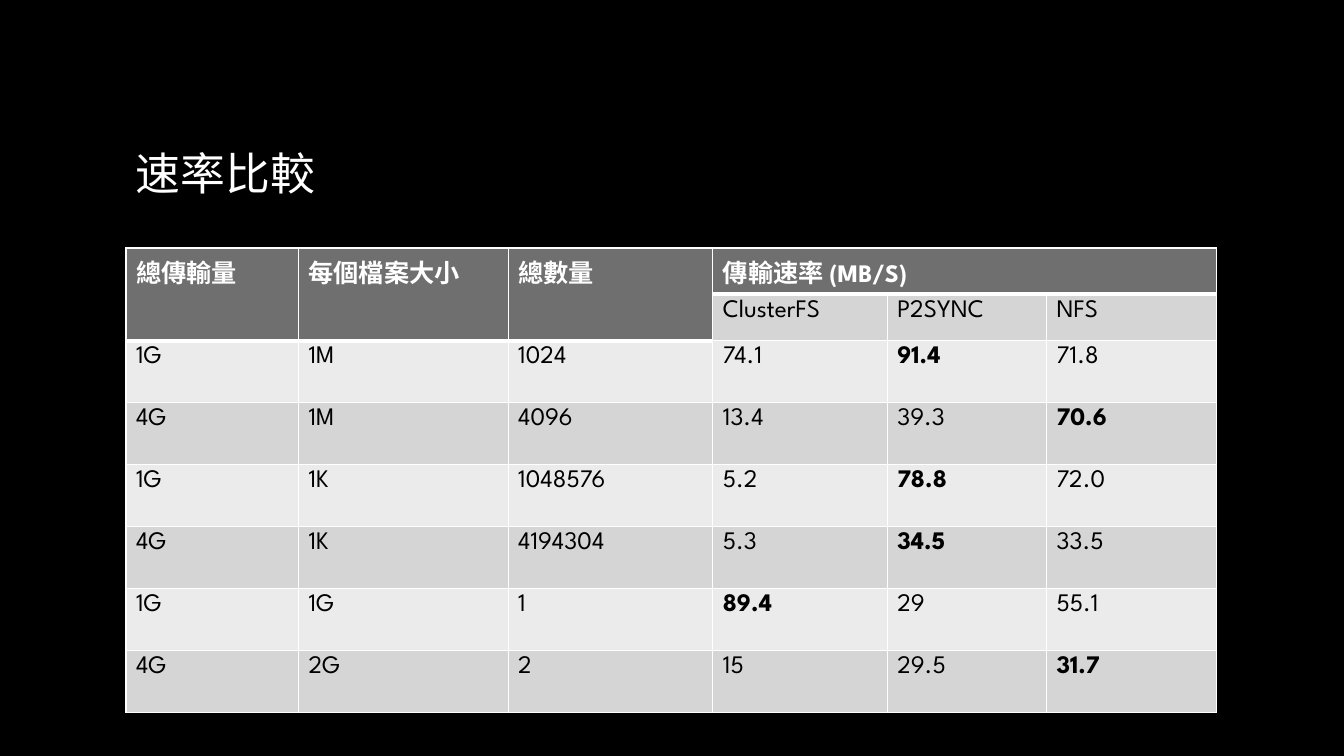
import pptx
import pptx.dml.color
import pptx.enum.text
import pptx.oxml.ns
import pptx.util
from lxml import etree
from pptx.util import Inches

# Content
TITLE = "速率比較"
HEADINGS = ["總傳輸量", "每個檔案大小", "總數量", "傳輸速率 (MB/S)", "", ""]
SYSTEMS = ["", "", "", "ClusterFS", "P2SYNC", "NFS"]
RESULTS = [
    ["1G", "1M", "1024", "74.1", "91.4", "71.8"],
    ["4G", "1M", "4096", "13.4", "39.3", "70.6"],
    ["1G", "1K", "1048576", "5.2", "78.8", "72.0"],
    ["4G", "1K", "4194304", "5.3", "34.5", "33.5"],
    ["1G", "1G", "1", "89.4", "29", "55.1"],
    ["4G", "2G", "2", "15", "29.5", "31.7"],
]

# Style
COLORS = {"back": "000000", "white": "FFFFFF", "black": "000000",
          "head": "6F6F6F", "dark": "D5D5D5", "light": "EBEBEB"}
FONT = "League Spartan"
LEFT, TABLE_TOP, WIDTH = 1.25, 2.46, 10.83
COL_WIDTHS = [1.71, 2.08, 2.03, 1.73, 1.58, 1.69]
ROW_HEIGHTS = [0.46] * 2 + [0.615] * len(RESULTS)
FIRST_RATE = 3


def rgb(name):
    return pptx.dml.color.RGBColor.from_string(COLORS[name])


def add_run(tf, text, size, color, bold=False):
    r = tf.paragraphs[0].add_run()
    r.text = text
    r.font.name = FONT
    r.font.size = pptx.util.Pt(size)
    r.font.bold = bold
    r.font.color.rgb = rgb(color)


def add_border(cell, side, points):
    qn = pptx.oxml.ns.qn
    tcPr = cell._tc.get_or_add_tcPr()
    ln = etree.SubElement(tcPr, qn("a:ln" + side), w=str(pptx.util.Pt(points)))
    fill = etree.SubElement(ln, qn("a:solidFill"))
    etree.SubElement(fill, qn("a:srgbClr"), val=COLORS["white"])


def style_cell(cell, row, col, text, best):
    header = row == 0 or (row == 1 and col < FIRST_RATE)
    # Neighbours share an edge, so left and top are drawn on the rim only
    if col == 0:
        add_border(cell, "L", 1)
    add_border(cell, "R", 1)
    if row == 0:
        add_border(cell, "T", 1)
    add_border(cell, "B", 3 if header else 1)
    cell.fill.solid()
    cell.fill.fore_color.rgb = rgb("head" if header else "dark" if row % 2 else "light")
    if text:
        add_run(cell.text_frame, text, 18, "white" if header else "black", header or best)


def main():
    prs = pptx.Presentation()
    prs.slide_width, prs.slide_height = Inches(13.33), Inches(7.5)
    s = prs.slides.add_slide(prs.slide_layouts[6])
    s.background.fill.solid()
    s.background.fill.fore_color.rgb = rgb("back")

    # Title
    sp = s.shapes.add_textbox(Inches(LEFT), Inches(0.67), Inches(WIDTH), Inches(2.08))
    tf = sp.text_frame
    tf.word_wrap = True
    tf.vertical_anchor = pptx.enum.text.MSO_ANCHOR.MIDDLE
    add_run(tf, TITLE, 32, "white")

    # Table grid
    rows = [HEADINGS, SYSTEMS] + RESULTS
    table = s.shapes.add_table(len(rows), len(HEADINGS), Inches(LEFT), Inches(TABLE_TOP),
                               Inches(WIDTH), Inches(sum(ROW_HEIGHTS))).table
    for column, width in zip(table.columns, COL_WIDTHS):
        column.width = Inches(width)
    for line, height in zip(table.rows, ROW_HEIGHTS):
        line.height = Inches(height)

    # Cells, with the fastest rate of each result in bold
    for i, values in enumerate(rows):
        fastest = max(values[FIRST_RATE:], key=float) if i > 1 else None
        for j, text in enumerate(values):
            best = j >= FIRST_RATE and text == fastest
            style_cell(table.cell(i, j), i, j, text, best)

    # Merged headings
    for j in range(FIRST_RATE):
        table.cell(0, j).merge(table.cell(1, j))
    table.cell(0, FIRST_RATE).merge(table.cell(0, len(HEADINGS) - 1))

    prs.save("out.pptx")


if __name__ == "__main__":
    main()
